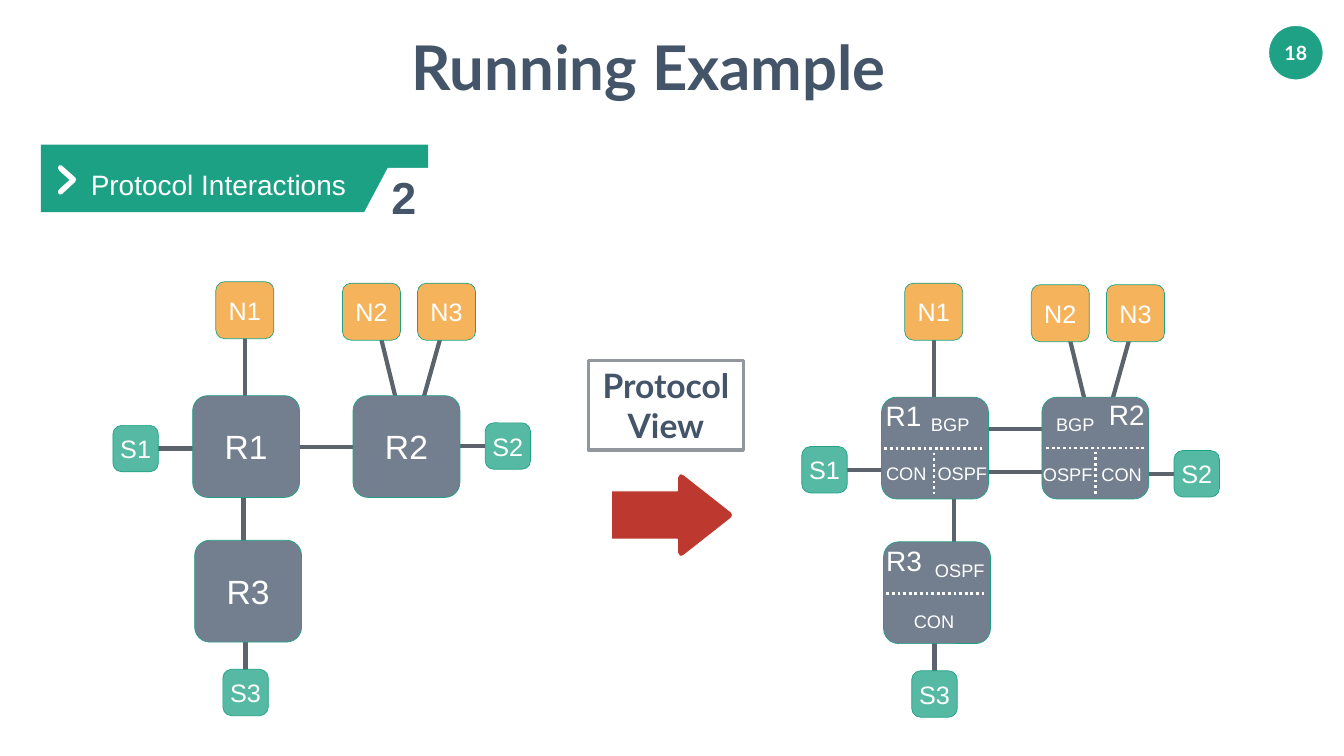
"""Build the Running Example slide: a router topology beside its protocol view."""
from lxml import etree
from pptx import Presentation
from pptx.dml.color import RGBColor
from pptx.enum.dml import MSO_LINE
from pptx.enum.shapes import MSO_CONNECTOR, MSO_SHAPE
from pptx.enum.text import MSO_ANCHOR, PP_ALIGN
from pptx.oxml.ns import qn
from pptx.util import Cm, Pt

DOTTED = MSO_LINE.ROUND_DOT
STRAIGHT = MSO_CONNECTOR.STRAIGHT
RECTANGLE, ROUNDED, OVAL = MSO_SHAPE.RECTANGLE, MSO_SHAPE.ROUNDED_RECTANGLE, MSO_SHAPE.OVAL
TOP, MIDDLE = MSO_ANCHOR.TOP, MSO_ANCHOR.MIDDLE
LEFT, CENTER, RIGHT = PP_ALIGN.LEFT, PP_ALIGN.CENTER, PP_ALIGN.RIGHT

THEME = {
    "green": "1EA185", "banner": "1DA185", "mint": "56B9A3", "orange": "F5B45C",
    "slate": "737F8E", "link": "5C636C", "ink": "445469", "white": "FFFFFF",
    "red": "BD392F", "frame": "92979D",
    "body": "Arial", "display": "Lato",
    "title": 88, "number": 64, "router": 48, "heading": 40, "node": 36, "page": 28, "protocol": 26,
}

SLIDE_SIZE = (26.65, 15)
TITLE = ("Running Example", (8.11, 0.53, 10.44, 1.57))
PAGE = ("18", (25.17, 0.52, 1.05, 1.05))
CALLOUT = ("Protocol\nView", (11.67, 7.15, 3.07, 1.78))
BANNER = ("Protocol Interactions", (1.68, 3.08, 5.93, 1.08))
BANNER_BAR = (0.81, 2.87, 7.68, 1.34)
BANNER_NUMBER = ("2", (7.66, 3.27, 0.65, 1.08))
NOTCH = [(8.51, 3.33), (7.69, 3.33), (7.19, 4.27), (8.51, 4.27)]
CHEVRON = [
    (1.17, 3.76), (1.38, 3.57), (1.17, 3.38), (1.15, 3.33), (1.17, 3.28), (1.22, 3.28), (1.49, 3.52),
    (1.51, 3.56), (1.49, 3.61), (1.23, 3.85), (1.19, 3.86), (1.16, 3.84), (1.15, 3.8),
]
ARROW = [
    (13.56, 9.42), (13.51, 9.4), (13.47, 9.41), (13.43, 9.48), (13.43, 9.74), (12.12, 9.74),
    (12.12, 10.7), (13.43, 10.7), (13.43, 10.96), (13.47, 11.03), (13.51, 11.04), (13.56, 11.02),
    (14.5, 10.28), (14.53, 10.22), (14.5, 10.16),
]

NODE_KINDS = {
    "N": {"size": (1.15, 1.13), "corner": 0.152, "fill": "orange", "text": "node"},
    "R": {"size": (2.12, 2.02), "corner": 0.148, "fill": "slate", "text": "router"},
    "S": {"size": (0.9, 0.92), "corner": 0.191, "fill": "mint", "text": "node"},
}
NODES = {
    "S1": (2.24, 8.44), "S2": (9.62, 8.39), "S3": (4.42, 13.28),
    "N1": (4.28, 5.59), "N2": (6.79, 5.62), "N3": (8.28, 5.62),
    "R1": (3.82, 7.85), "R2": (7, 7.85), "R3": (3.86, 10.72),
}
SHARED_LINKS = [
    (4.87, 13.37, 4.87, 12.22), (4.86, 8.82, 4.86, 6.03),
    (8.03, 8.65, 7.37, 5.95), (8.17, 8.71, 8.93, 6),
]
TOPOLOGY_LINKS = [
    (4.83, 11.5, 4.83, 8.71), (7.35, 8.87, 4.9, 8.87),
    (4.54, 8.9, 2.73, 8.9), (10.25, 8.85, 8.44, 8.85),
]

VIEW_OFFSET = (13.66, 0.03)
VIEW_NODES = {**NODES, "S1": (2.24, 8.83), "S2": (9.62, 8.91)}
VIEW_LINKS = [
    (7.56, 9.34, 5.11, 9.34), (5.26, 11.49, 5.26, 8.7), (7.35, 8.49, 4.9, 8.49),
    (4.54, 9.29, 2.73, 9.29), (10.25, 9.37, 8.44, 9.37),
]
DIVIDERS = [
    (19.48, 8.9, 17.52, 8.9), (18.52, 8.98, 18.52, 9.81), (22.69, 8.89, 20.73, 8.89),
    (21.72, 8.96, 21.72, 9.83), (19.52, 11.78, 17.56, 11.78),
]
LABEL_SIZES = {"OSPF": (1.1, 0.53), "CON": (0.92, 0.53), "BGP": (0.88, 0.53), "R": (0.82, 0.77)}
VIEW_LABELS = [
    ("OSPF", 18.54, 9.13), ("CON", 17.52, 9.13), ("BGP", 18.41, 8.16),
    ("BGP", 20.89, 8.16), ("OSPF", 20.63, 9.14), ("CON", 21.79, 9.14),
    ("OSPF", 18.49, 11.05), ("CON", 18.07, 12.06),
    ("R1", 17.51, 7.85), ("R2", 21.94, 7.84), ("R3", 17.52, 10.74),
]


def inches(*values):
    return [Cm(value * 2.54) for value in values]


def color(name):
    return RGBColor.from_string(THEME[name])


def paint(shape, fill=None, line=None, width=1):
    shape.shadow.inherit = False
    if fill:
        shape.fill.solid()
        shape.fill.fore_color.rgb = color(fill)
    else:
        shape.fill.background()
    if line:
        shape.line.color.rgb = color(line)
        shape.line.width = Pt(width)
    else:
        shape.line.fill.background()


def write(shape, text, size, font="body", ink="white", bold=False, align=CENTER,
          anchor=MIDDLE, inset=0.05, wrap=False, spacing=1.0):
    frame = shape.text_frame
    frame.text = text
    margin, = inches(inset)
    frame_format = {"word_wrap": wrap, "vertical_anchor": anchor, "margin_left": margin,
                    "margin_right": margin, "margin_top": margin, "margin_bottom": margin}
    for name, value in frame_format.items():
        setattr(frame, name, value)
    font_format = {"name": THEME[font], "size": Pt(THEME[size]), "bold": bold}
    for paragraph in frame.paragraphs:
        paragraph.alignment = align
        paragraph.line_spacing = spacing
        for name, value in font_format.items():
            setattr(paragraph.font, name, value)
        paragraph.font.color.rgb = color(ink)


def add_box(shapes, kind, box, **style):
    shape = shapes.add_shape(kind, *inches(*box))
    paint(shape, **style)
    return shape


def add_label(shapes, text, box, size, **style):
    write(shapes.add_textbox(*inches(*box)), text, size, **style)


def add_outline(shapes, points, **style):
    corners = [inches(*point) for point in points]
    builder = shapes.build_freeform(*corners[0])
    builder.add_line_segments(corners[1:])
    paint(builder.convert_to_shape(), **style)


def add_line(shapes, ends, ink, width, dash=None):
    line = shapes.add_connector(STRAIGHT, *inches(*ends))
    line.line.color.rgb = color(ink)
    line.line.width = Pt(width)
    if dash:
        line.line.dash_style = dash
    etree.SubElement(line._element.spPr, qn("a:effectLst"))


def add_network(shapes, nodes, links, offset=(0, 0), name_routers=True):
    left, top = offset
    for x1, y1, x2, y2 in SHARED_LINKS + links:
        add_line(shapes, (x1 + left, y1 + top, x2 + left, y2 + top), "link", 6)
    for name, (x, y) in nodes.items():
        kind = NODE_KINDS[name[0]]
        node = add_box(shapes, ROUNDED, (x + left, y + top, *kind["size"]), fill=kind["fill"], line="green")
        node.adjustments[0] = kind["corner"]
        if name_routers or name[0] != "R":
            write(node, name, kind["text"])


def add_protocols(shapes):
    for ends in DIVIDERS:
        add_line(shapes, ends, "white", 4, DOTTED)
    for text, x, y in VIEW_LABELS:
        router = text[0] == "R"
        size = LABEL_SIZES["R" if router else text]
        add_label(shapes, text, (x, y, *size), "heading" if router else "protocol", align=LEFT, anchor=TOP)


def add_banner(shapes):
    add_box(shapes, RECTANGLE, BANNER_BAR, fill="banner")
    add_outline(shapes, NOTCH, fill="white")
    add_outline(shapes, CHEVRON, fill="white")
    add_label(shapes, *BANNER, "heading", align=LEFT, inset=0.12, wrap=True, spacing=1.1)
    add_label(shapes, *BANNER_NUMBER, "number", ink="ink", bold=True, align=RIGHT, anchor=TOP,
              inset=0.1, wrap=True)


def main():
    presentation = Presentation()
    presentation.slide_width, presentation.slide_height = inches(*SLIDE_SIZE)
    slide = presentation.slides.add_slide(presentation.slide_layouts[5])
    shapes = slide.shapes
    heading = {"font": "display", "ink": "ink", "bold": True}

    title_text, title_box = TITLE
    title = shapes.title
    title.left, title.top, title.width, title.height = inches(*title_box)
    write(title, title_text, "title", align=LEFT, wrap=True, **heading)

    page_text, page_box = PAGE
    page = add_box(shapes, OVAL, page_box, fill="green", line="green", width=0.5)
    write(page, page_text, "page", font="display", bold=True)

    add_network(shapes.add_group_shape().shapes, NODES, TOPOLOGY_LINKS)
    view = shapes.add_group_shape().shapes
    add_network(view, VIEW_NODES, VIEW_LINKS, VIEW_OFFSET, name_routers=False)
    add_protocols(view)

    add_outline(shapes, ARROW, fill="red", line="white", width=1.5)
    callout_text, callout_box = CALLOUT
    callout = add_box(shapes, RECTANGLE, callout_box, line="frame", width=5)
    write(callout, callout_text, "router", **heading)
    add_banner(shapes)
    presentation.save("out.pptx")


if __name__ == "__main__":
    main()
